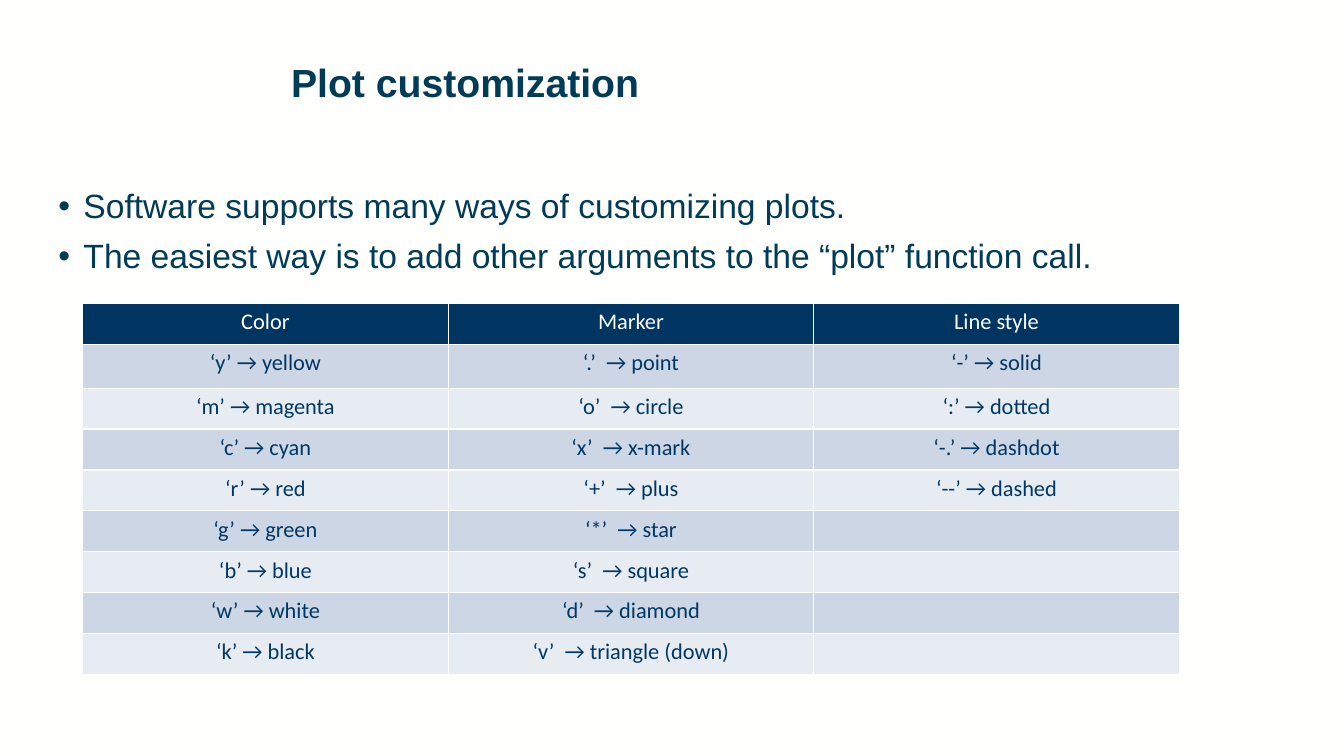
"""Build the plot customization slide with its table of plot codes."""
from dataclasses import dataclass
from itertools import zip_longest
from typing import Any

import lxml.etree
import pptx
import pptx.dml.color
import pptx.enum.text
import pptx.oxml.ns
import pptx.util

Pt = pptx.util.Pt
RGB = pptx.dml.color.RGBColor.from_string
qn = pptx.oxml.ns.qn
ALIGN = pptx.enum.text.PP_ALIGN


@dataclass(frozen=True)
class Theme:
    back: str = "FFFFFE"
    ink: str = "003B58"
    head: str = "003561"
    cell: str = "003865"
    bands: tuple[str, str] = ("CCD6E4", "E7ECF2")
    sans: str = "Arial"
    grid: str = "Calibri"
    title: int = 28
    body: int = 24
    small: int = 16


@dataclass(frozen=True)
class Block:
    left: float
    top: float
    width: float
    height: float
    lines: tuple[str, ...]
    size: int
    bold: bool = False
    bullet: bool = False


@dataclass(frozen=True)
class Column:
    head: str
    gap: str
    codes: dict[str, str]

    def cells(self) -> list[str]:
        return [self.head] + [f"‘{code}’{self.gap}→ {name}" for code, name in self.codes.items()]


THEME = Theme()
BLOCKS = (
    Block(200.88, 41.76, 725, 69.84, ("Plot customization",), THEME.title, bold=True),
    Block(34.56, 131.76, 807.84, 244.8, (
        "Software supports many ways of customizing plots.",
        "The easiest way is to add other arguments to the “plot” function call.",
    ), THEME.body, bullet=True),
)
COLUMNS = (
    Column("Color", " ", {
        "y": "yellow", "m": "magenta", "c": "cyan", "r": "red",
        "g": "green", "b": "blue", "w": "white", "k": "black",
    }),
    Column("Marker", "  ", {
        ".": "point", "o": "circle", "x": "x-mark", "+": "plus",
        "*": "star", "s": "square", "d": "diamond", "v": "triangle (down)",
    }),
    Column("Line style", " ", {
        "-": "solid", ":": "dotted", "-.": "dashdot", "--": "dashed",
    }),
)


def apply(target: Any, values: dict[str, Any]) -> None:
    for name, value in values.items():
        setattr(target, name, value)


def write(para: Any, text: str, color: str, font: dict[str, Any]) -> None:
    run = para.add_run()
    run.text = text
    apply(run.font, font)
    run.font.color.rgb = RGB(color)


def mark(para: Any) -> None:
    props = para._p.get_or_add_pPr()
    indent = Pt(18)
    props.set("marL", str(indent))
    props.set("indent", str(-indent))
    lxml.etree.SubElement(props, qn("a:buFont")).set("typeface", THEME.sans)
    lxml.etree.SubElement(props, qn("a:buChar")).set("char", "•")


def add_block(slide: Any, block: Block) -> None:
    box = slide.shapes.add_textbox(*map(Pt, (block.left, block.top, block.width, block.height)))
    frame = box.text_frame
    frame.word_wrap = True
    font = {"name": THEME.sans, "size": Pt(block.size), "bold": block.bold}
    for index, line in enumerate(block.lines):
        para = frame.add_paragraph() if index else frame.paragraphs[0]
        if block.bullet:
            mark(para)
        apply(para, {"line_spacing": 0.9, "space_before": Pt(10 if index else 0)})
        write(para, line, THEME.ink, font)


def edge(cell: Any) -> None:
    props = cell._tc.get_or_add_tcPr()
    for side in "LRTB":
        line = lxml.etree.SubElement(props, qn(f"a:ln{side}"), w=str(Pt(1)))
        fill = lxml.etree.SubElement(line, qn("a:solidFill"))
        lxml.etree.SubElement(fill, qn("a:srgbClr")).set("val", THEME.back)


def add_grid(slide: Any, columns: tuple[Column, ...]) -> None:
    rows = list(zip_longest(*(column.cells() for column in columns), fillvalue=""))
    width, height, tall = 261.12, 29.2, 31.4
    shape = slide.shapes.add_table(
        len(rows), len(columns), Pt(59.04), Pt(216.72),
        Pt(width * len(columns)), Pt(height * (len(rows) - 1) + tall),
    )
    table = shape.table
    apply(table, {"first_row": False, "horz_banding": False})
    for column in table.columns:
        column.width = Pt(width)
    font = {"name": THEME.grid, "size": Pt(THEME.small), "bold": False}
    for index, texts in enumerate(rows):
        table.rows[index].height = Pt(tall if index == 1 else height)
        fill = THEME.bands[(index - 1) % 2] if index else THEME.head
        color = THEME.cell if index else THEME.back
        for cell, text in zip(table.rows[index].cells, texts):
            edge(cell)
            cell.fill.solid()
            cell.fill.fore_color.rgb = RGB(fill)
            para = cell.text_frame.paragraphs[0]
            para.alignment = ALIGN.CENTER
            if text:
                write(para, text, color, font)


def main() -> None:
    deck = pptx.Presentation()
    apply(deck, {"slide_width": Pt(960), "slide_height": Pt(540)})
    slide = deck.slides.add_slide(deck.slide_layouts[6])
    slide.background.fill.solid()
    slide.background.fill.fore_color.rgb = RGB(THEME.back)
    for block in BLOCKS:
        add_block(slide, block)
    add_grid(slide, COLUMNS)
    deck.save("out.pptx")


if __name__ == "__main__":
    main()
